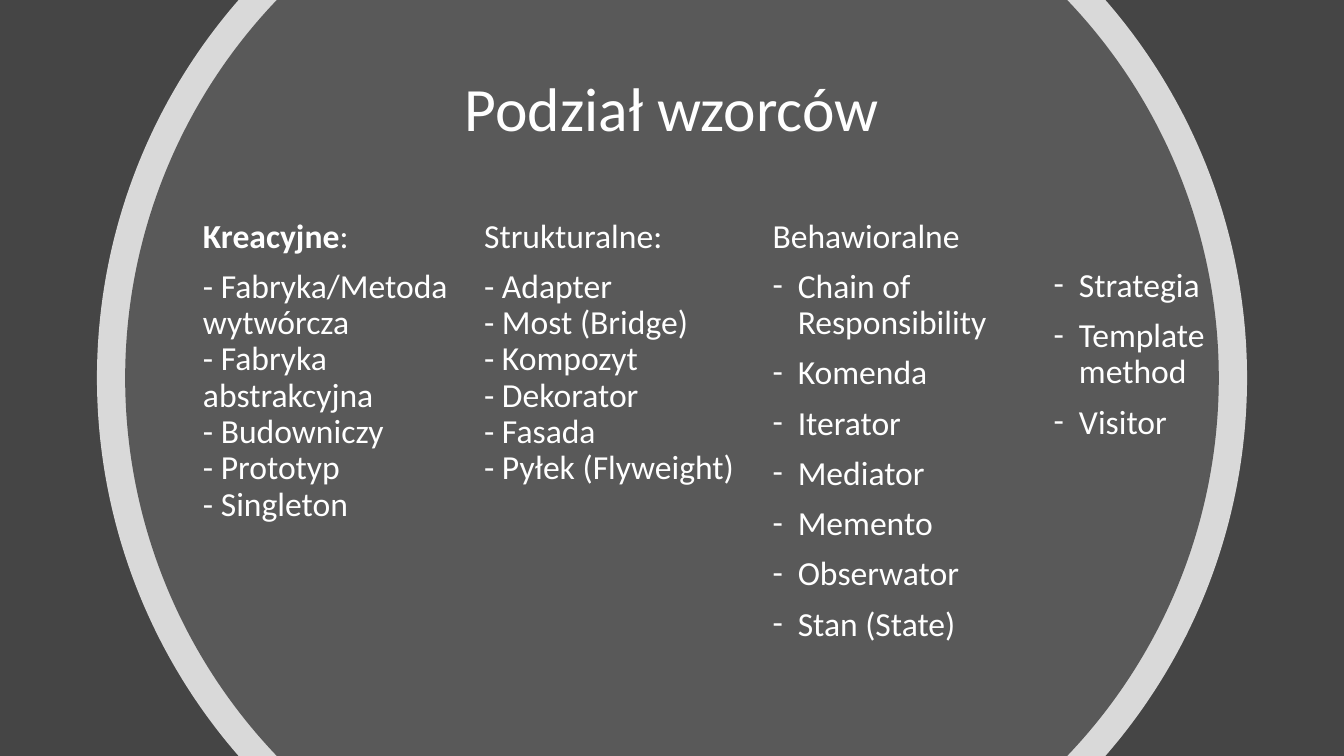
from math import asin, cos, pi, sin, tan

from lxml import etree
from pptx import Presentation
from pptx.dml.color import RGBColor
from pptx.enum.text import MSO_ANCHOR, MSO_AUTO_SIZE, PP_ALIGN
from pptx.oxml.ns import qn
from pptx.util import Pt

CENTER = PP_ALIGN.CENTER
LEFT = PP_ALIGN.LEFT
TOP = MSO_ANCHOR.TOP
MIDDLE = MSO_ANCHOR.MIDDLE
NO_AUTOFIT = MSO_AUTO_SIZE.NONE

BACKGROUND = RGBColor(0x45, 0x45, 0x45)
DISC = RGBColor(0x59, 0x59, 0x59)
WHITE = RGBColor(0xFF, 0xFF, 0xFF)

FONT = "Calibri"
WIDTH, HEIGHT = 960, 540
INDENT = 18
COLUMN_TOP, COLUMN_HEIGHT = 152.9, 316.8

CREATIONAL = ["- Fabryka/Metoda wytwórcza", "- Fabryka abstrakcyjna",
              "- Budowniczy", "- Prototyp", "- Singleton"]
STRUCTURAL = ["- Adapter", "- Most (Bridge)", "- Kompozyt", "- Dekorator",
              "- Fasada", "- Pyłek (Flyweight)"]
BEHAVIORAL = ["Chain of Responsibility", "Komenda", "Iterator", "Mediator",
              "Memento", "Obserwator", "Stan (State)"]
BEHAVIORAL_MORE = ["Strategia", "Template method", "Visitor"]


def bend_segment(segment, radius, start, end):
    """Replace a straight outline segment with a circular arc."""
    handle = 4 / 3 * tan((end - start) / 4)
    corners = [
        (cos(start) - handle * sin(start), sin(start) + handle * cos(start)),
        (cos(end) + handle * sin(end), sin(end) - handle * cos(end)),
        (cos(end), sin(end)),
    ]
    curve = etree.Element(qn("a:cubicBezTo"))
    for x, y in corners:
        point = etree.SubElement(curve, qn("a:pt"))
        point.set("x", str(Pt(radius + radius * x)))
        point.set("y", str(Pt(HEIGHT / 2 + radius * y)))
    segment.getparent().replace(segment, curve)


def add_clipped_disc(slide, radius, color, layer, opacity=100):
    """Draw a centred disc cut off at the slide's top and bottom edges."""
    reach = asin(HEIGHT / 2 / radius)
    angles = [-reach, 0, reach, pi - reach, pi, pi + reach]
    points = [(Pt(WIDTH / 2 + radius * cos(angle)),
               Pt(HEIGHT / 2 + radius * sin(angle))) for angle in angles]
    builder = slide.shapes.build_freeform(*points[0])
    builder.add_line_segments(points[1:], close=True)
    shape = builder.convert_to_shape()
    segments = shape.element.findall(".//" + qn("a:lnTo"))
    for index in (0, 1, 3, 4):
        bend_segment(segments[index], radius, angles[index], angles[index + 1])
    shape.shadow.inherit = False
    shape.line.fill.background()
    shape.fill.solid()
    shape.fill.fore_color.rgb = color
    if opacity < 100:
        fill_color = shape.element.spPr.find(".//" + qn("a:srgbClr"))
        alpha = etree.SubElement(fill_color, qn("a:alpha"))
        alpha.set("val", str(opacity * 1000))
    shape.element.getparent().insert(2 + layer, shape.element)


def prepare_frame(shape, left, top, width, height, anchor=TOP):
    """Place a text shape and return its wrapping text frame."""
    shape.left, shape.top = Pt(left), Pt(top)
    shape.width, shape.height = Pt(width), Pt(height)
    frame = shape.text_frame
    frame.word_wrap = True
    frame.auto_size = NO_AUTOFIT
    frame.vertical_anchor = anchor
    return frame


def add_run(paragraph, text, size=24, bold=False):
    """Append one white run."""
    run = paragraph.add_run()
    run.text = text
    run.font.name = FONT
    run.font.size = Pt(size)
    run.font.bold = bold
    run.font.color.rgb = WHITE


def add_paragraph(frame, bullet=False, align=LEFT, space=10):
    """Use the empty first paragraph or append one, and format it."""
    paragraph = frame.paragraphs[-1]
    if paragraph.runs:
        paragraph = frame.add_paragraph()
    paragraph.alignment = align
    paragraph.line_spacing = 0.9
    paragraph.space_before = Pt(space)
    properties = paragraph._p.get_or_add_pPr()
    indent = Pt(INDENT if bullet else 0)
    properties.set("marL", str(indent))
    properties.set("indent", str(-indent))
    if bullet:
        etree.SubElement(properties, qn("a:buFont")).set("typeface", FONT)
        etree.SubElement(properties, qn("a:buChar")).set("char", "-")
    else:
        etree.SubElement(properties, qn("a:buNone"))
    return paragraph


def add_broken_lines(frame, lines):
    """Write the lines as one paragraph with line breaks."""
    paragraph = add_paragraph(frame)
    for index, line in enumerate(lines):
        if index:
            paragraph.add_line_break()
        add_run(paragraph, line)


def add_bullets(frame, items):
    """Write each item as a dash-bulleted paragraph."""
    for item in items:
        add_run(add_paragraph(frame, bullet=True), item)


def add_column(slide, left, width, top=COLUMN_TOP):
    """Add a text box for a column and return its text frame."""
    box = slide.shapes.add_textbox(0, 0, 0, 0)
    return prepare_frame(box, left, top, width, COLUMN_HEIGHT)


def main():
    """Build the slide and save it."""
    presentation = Presentation()
    presentation.slide_width, presentation.slide_height = Pt(WIDTH), Pt(HEIGHT)
    slide = presentation.slides.add_slide(presentation.slide_layouts[1])
    slide.background.fill.solid()
    slide.background.fill.fore_color.rgb = BACKGROUND
    add_clipped_disc(slide, 410.75, WHITE, layer=0, opacity=80)
    add_clipped_disc(slide, 390.6, DISC, layer=1)

    title = prepare_frame(slide.shapes.title, 182, 28.8, 596, 101.5, MIDDLE)
    add_run(add_paragraph(title, align=CENTER, space=0), "Podział wzorców", 44)

    creational = prepare_frame(slide.placeholders[1], 137.8, COLUMN_TOP,
                               219.6, COLUMN_HEIGHT)
    heading = add_paragraph(creational)
    add_run(heading, "Kreacyjne", bold=True)
    add_run(heading, ":")
    add_broken_lines(creational, CREATIONAL)

    structural = add_column(slide, 338.7, 219.6)
    add_run(add_paragraph(structural), "Strukturalne:")
    add_broken_lines(structural, STRUCTURAL)

    behavioral = add_column(slide, 544.8, 204.5)
    add_run(add_paragraph(behavioral), "Behawioralne")
    add_bullets(behavioral, BEHAVIORAL)

    add_bullets(add_column(slide, 745.6, 201, top=188.2), BEHAVIORAL_MORE)
    presentation.save("out.pptx")


main()
